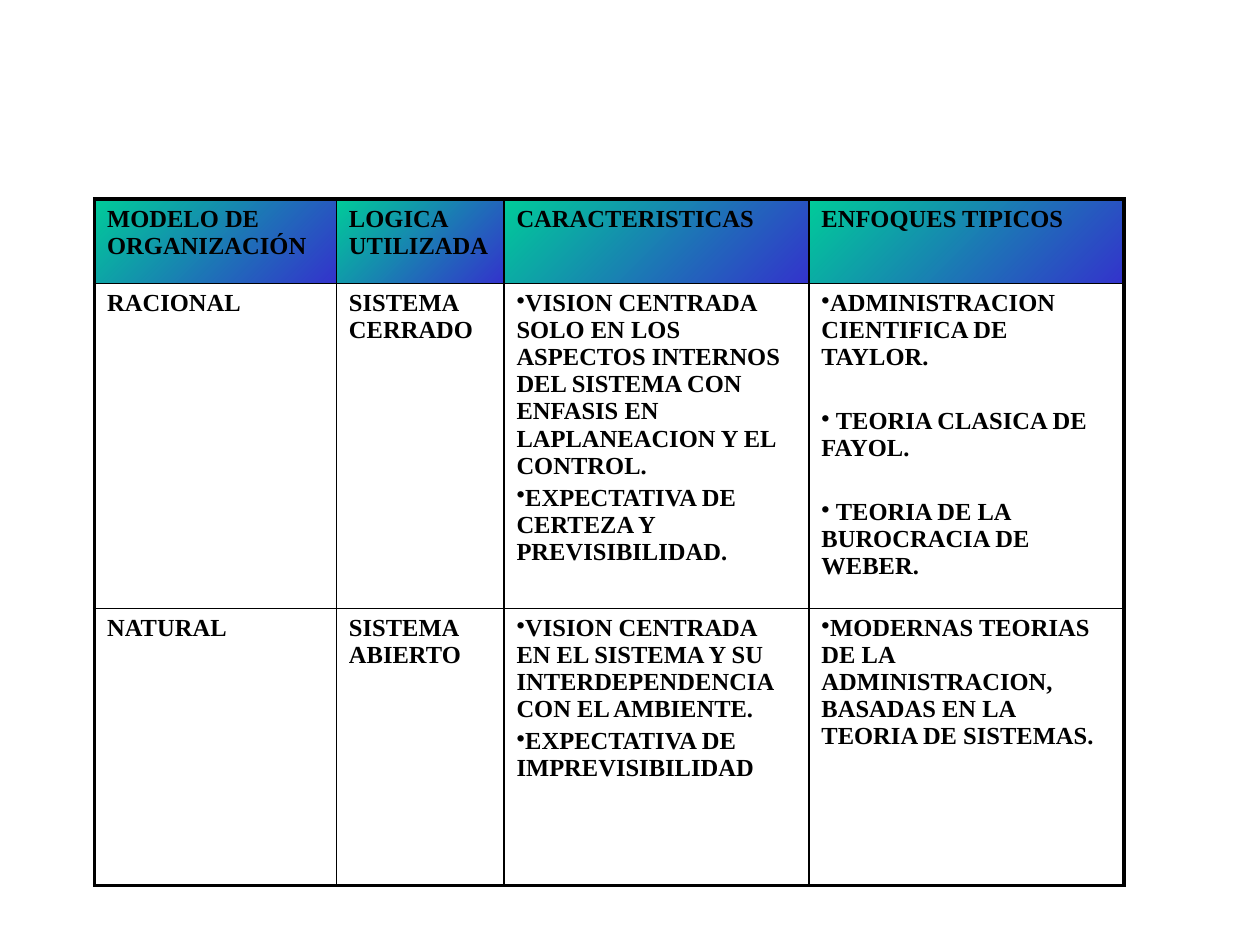
import pptx
import pptx.dml.color
import pptx.oxml
import pptx.oxml.ns
import pptx.util

Inches, Pt = pptx.util.Inches, pptx.util.Pt
RGBColor = pptx.dml.color.RGBColor

BLACK = RGBColor(0x00, 0x00, 0x00)
GREEN = RGBColor(0x00, 0xCC, 0x99)
BLUE = RGBColor(0x33, 0x33, 0xCC)

# Content: a list in a cell is a bulleted list
HEADERS = ["MODELO DE ORGANIZACIÓN", "LOGICA UTILIZADA",
           "CARACTERISTICAS", "ENFOQUES TIPICOS"]
MODELS = [
    ["RACIONAL", "SISTEMA CERRADO",
     ["VISION CENTRADA SOLO EN LOS ASPECTOS INTERNOS DEL SISTEMA CON "
      "ENFASIS EN LAPLANEACION Y EL CONTROL.",
      "EXPECTATIVA DE CERTEZA Y PREVISIBILIDAD."],
     ["ADMINISTRACION CIENTIFICA DE TAYLOR.",
      " TEORIA CLASICA DE FAYOL.",
      " TEORIA DE LA BUROCRACIA DE WEBER."]],
    ["NATURAL", "SISTEMA ABIERTO",
     ["VISION CENTRADA EN EL SISTEMA Y SU INTERDEPENDENCIA CON EL AMBIENTE.",
      "EXPECTATIVA DE IMPREVISIBILIDAD"],
     ["MODERNAS TEORIAS DE LA ADMINISTRACION, BASADAS EN LA TEORIA DE "
      "SISTEMAS."]],
]
ROWS = [HEADERS] + MODELS

# Layout and format
LEFT, TOP = 0.75, 1.58
COL_WIDTHS = [1.92, 1.33, 2.42, 2.5]
ROW_HEIGHTS = [0.67, 2.58, 2.2]
ITEM_GAPS = [0, 0, 2.8, 21]  # points between list items, by column
OUTER, INNER = 2.25, 1       # border widths in points
FONT = {"name": "Times New Roman", "size": Pt(14), "bold": True}


def add_borders(cell, row, col):
    outer = {"lnL": col == 0, "lnR": col == len(COL_WIDTHS) - 1,
             "lnT": row == 0, "lnB": row == len(ROWS) - 1}
    tc_pr = cell._tc.get_or_add_tcPr()
    for tag, is_outer in outer.items():
        width = Pt(OUTER if is_outer else INNER)
        tc_pr.append(pptx.oxml.parse_xml(
            f'<a:{tag} {pptx.oxml.ns.nsdecls("a")} w="{width}"><a:solidFill>'
            f'<a:srgbClr val="{BLACK}"/></a:solidFill></a:{tag}>'))


def fill_cell(cell, is_header):
    if not is_header:
        cell.fill.background()
        return
    cell.fill.gradient()
    cell.fill.gradient_angle = 315
    for stop, color in zip(cell.fill.gradient_stops, (GREEN, BLUE)):
        stop.color.rgb = color


def write_cell(cell, content, gap):
    bulleted = isinstance(content, list)
    tf = cell.text_frame
    for i, text in enumerate(content if bulleted else [content]):
        p = tf.add_paragraph() if i else tf.paragraphs[0]
        if bulleted:
            p._p.get_or_add_pPr().append(pptx.oxml.parse_xml(
                f'<a:buChar {pptx.oxml.ns.nsdecls("a")} char="•"/>'))
        if i:
            p.space_before = Pt(gap)
        r = p.add_run()
        r.text = text
        for key, value in FONT.items():
            setattr(r.font, key, value)
        r.font.color.rgb = BLACK


prs = pptx.Presentation()
prs.slide_width, prs.slide_height = Inches(10), Inches(7.5)
s = prs.slides.add_slide(prs.slide_layouts[6])

# Table of organization models
table = s.shapes.add_table(
    len(ROWS), len(COL_WIDTHS), Inches(LEFT), Inches(TOP),
    Inches(sum(COL_WIDTHS)), Inches(sum(ROW_HEIGHTS))).table
table.first_row = table.horz_banding = False
for column, width in zip(table.columns, COL_WIDTHS):
    column.width = Inches(width)
for row, height in zip(table.rows, ROW_HEIGHTS):
    row.height = Inches(height)

for i, contents in enumerate(ROWS):
    for j, content in enumerate(contents):
        cell = table.cell(i, j)
        add_borders(cell, i, j)
        fill_cell(cell, i == 0)
        write_cell(cell, content, ITEM_GAPS[j])

prs.save("out.pptx")
